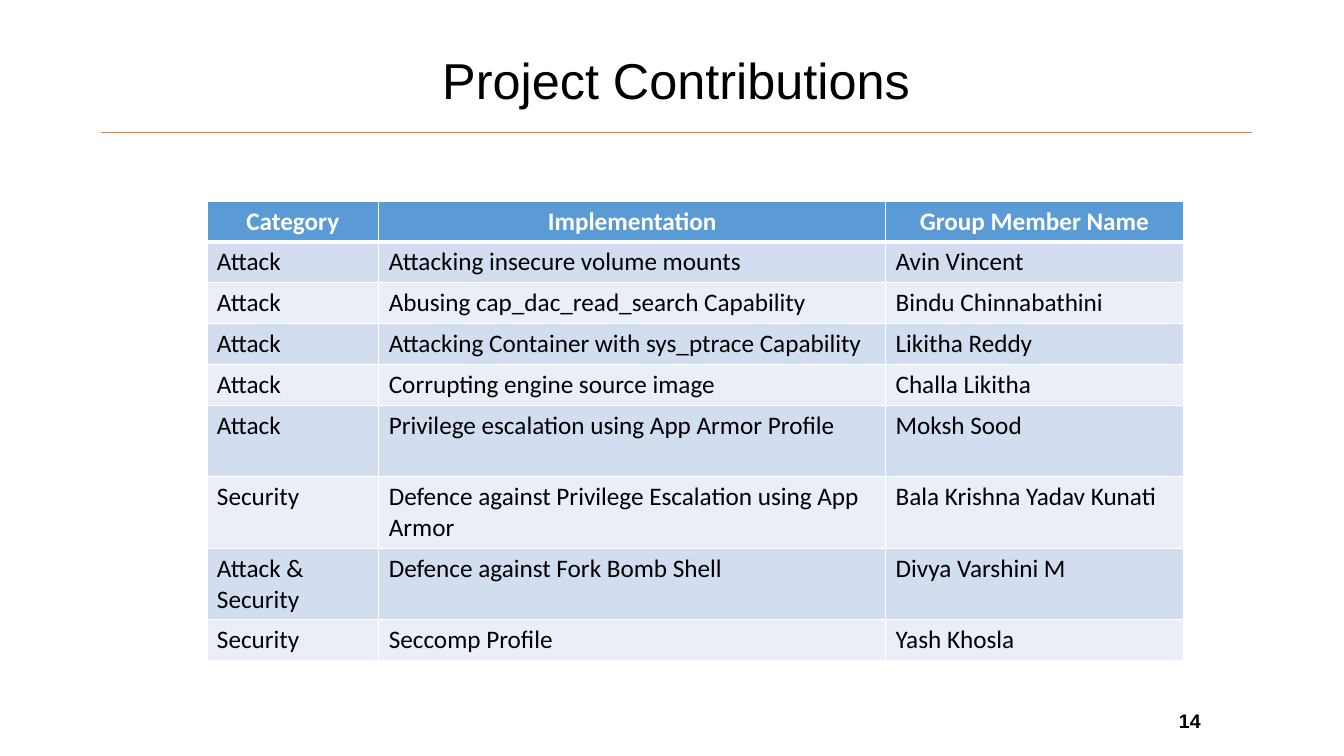
import pptx
import pptx.dml.color
import pptx.enum.shapes
import pptx.enum.text
import pptx.oxml
import pptx.oxml.ns
import pptx.util

Pt = pptx.util.Pt
RGBColor = pptx.dml.color.RGBColor
ALIGN = pptx.enum.text.PP_ALIGN
MIDDLE = pptx.enum.text.MSO_ANCHOR.MIDDLE

BLACK = RGBColor(0x00, 0x00, 0x00)
WHITE = RGBColor(0xFF, 0xFF, 0xFF)
ORANGE = RGBColor(0xED, 0x7D, 0x31)
HEADER_BLUE = RGBColor(0x5B, 0x9B, 0xD5)
BAND_DARK = RGBColor(0xD2, 0xDE, 0xEF)
BAND_LIGHT = RGBColor(0xEA, 0xEF, 0xF7)

HEADINGS = ("Category", "Implementation", "Group Member Name")
CONTRIBUTIONS = (
    ("Attack", "Attacking insecure volume mounts", "Avin Vincent"),
    ("Attack", "Abusing cap_dac_read_search Capability", "Bindu Chinnabathini"),
    ("Attack", "Attacking Container with sys_ptrace Capability", "Likitha Reddy"),
    ("Attack", "Corrupting engine source image", "Challa Likitha"),
    ("Attack", "Privilege escalation using App Armor Profile", "Moksh Sood"),
    ("Security", "Defence against Privilege Escalation using App Armor",
     "Bala Krishna Yadav Kunati"),
    ("Attack & Security", "Defence against Fork Bomb Shell", "Divya Varshini M"),
    ("Security", "Seccomp Profile", "Yash Khosla"),
)
COLUMN_SHARES = (0.176, 0.519, 0.305)
TALL_ROWS = (5, 6, 7)
ROW_HEIGHT, TALL_HEIGHT = 29.2, 51


def write(paragraph, text, font, size, color, bold=False, align=ALIGN.LEFT):
    paragraph.alignment = align
    run = paragraph.add_run()
    run.text = text
    run.font.name = font
    run.font.size = Pt(size)
    run.font.bold = bold
    run.font.color.rgb = color


def add_label(slide, left, top, width, height, text, size, **style):
    label = slide.shapes.add_textbox(Pt(left), Pt(top), Pt(width), Pt(height))
    label.text_frame.word_wrap = True
    label.text_frame.vertical_anchor = MIDDLE
    paragraph = label.text_frame.paragraphs[0]
    write(paragraph, text, "Arial", size, BLACK, **style)
    return paragraph


def add_heading(slide, left, top, width, height):
    title = add_label(slide, left, top, width, height - 6,
                      "Project Contributions", 36, align=ALIGN.CENTER)
    title.line_spacing = 0.9
    bottom = top + height
    rule = slide.shapes.add_connector(
        pptx.enum.shapes.MSO_CONNECTOR.STRAIGHT,
        Pt(left), Pt(bottom), Pt(left + width), Pt(bottom))
    rule.line.color.rgb = ORANGE
    rule.line.width = Pt(0.5)
    rule._element.spPr.append(pptx.oxml.parse_xml(
        f'<a:effectLst {pptx.oxml.ns.nsdecls("a")}/>'))


def set_borders(cell, bottom_width, top_width):
    widths = {"lnL": 1, "lnR": 1, "lnT": top_width, "lnB": bottom_width}
    properties = cell._tc.get_or_add_tcPr()
    for position, (side, width) in enumerate(widths.items()):
        properties.insert(position, pptx.oxml.parse_xml(
            f'<a:{side} {pptx.oxml.ns.nsdecls("a")} w="{Pt(width)}">'
            f'<a:solidFill><a:srgbClr val="{WHITE}"/></a:solidFill></a:{side}>'))


def add_contributions(slide, left, top, width):
    rows = (HEADINGS,) + CONTRIBUTIONS
    heights = [TALL_HEIGHT if row in TALL_ROWS else ROW_HEIGHT
               for row in range(len(rows))]
    contributions = slide.shapes.add_table(
        len(rows), len(HEADINGS), Pt(left), Pt(top), Pt(width), Pt(sum(heights))).table
    for column, share in zip(contributions.columns, COLUMN_SHARES):
        column.width = Pt(width * share)
    for row, (entries, height) in enumerate(zip(rows, heights)):
        contributions.rows[row].height = Pt(height)
        is_header = row == 0
        fill = HEADER_BLUE if is_header else (BAND_LIGHT, BAND_DARK)[row % 2]
        for column, entry in enumerate(entries):
            cell = contributions.cell(row, column)
            cell.fill.solid()
            cell.fill.fore_color.rgb = fill
            set_borders(cell, 3 if is_header else 1, 3 if row == 1 else 1)
            write(cell.text_frame.paragraphs[0], entry, "Calibri", 18,
                  WHITE if is_header else BLACK, bold=is_header,
                  align=ALIGN.CENTER if is_header else ALIGN.LEFT)


def main():
    presentation = pptx.Presentation()
    presentation.slide_width, presentation.slide_height = Pt(960), Pt(540)
    slide = presentation.slides.add_slide(presentation.slide_layouts[6])
    add_heading(slide, 72, 30, 822, 64.4)
    add_contributions(slide, 147.8, 143.6, 697.5)
    add_label(slide, 835, 500.5, 59, 28.8, "14", 14, bold=True)
    presentation.save("out.pptx")


if __name__ == "__main__":
    main()
